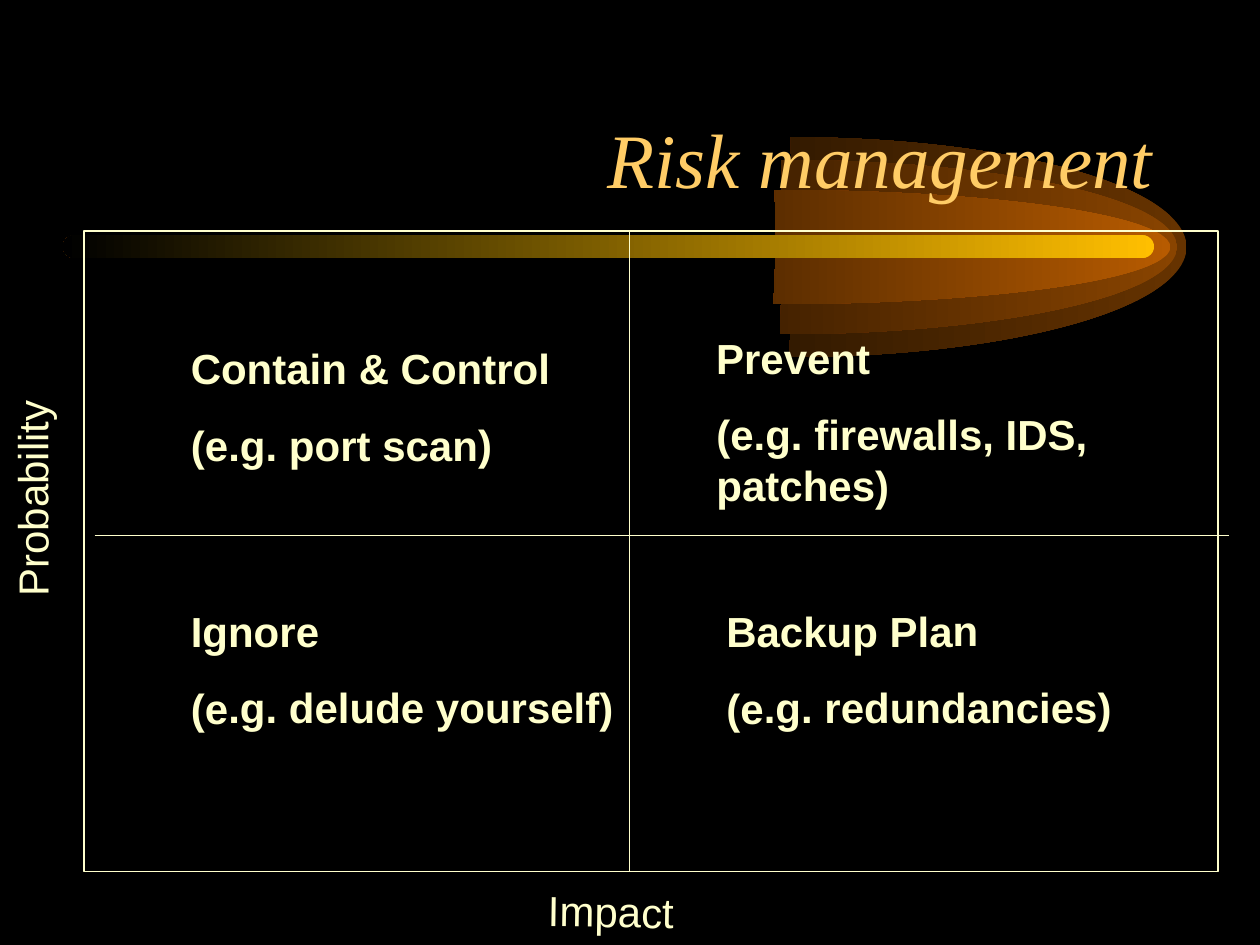
from lxml import etree
from pptx import Presentation
from pptx.dml.color import RGBColor
from pptx.enum.shapes import MSO_CONNECTOR, MSO_SHAPE
from pptx.enum.text import MSO_ANCHOR, MSO_AUTO_SIZE, PP_ALIGN
from pptx.oxml.ns import qn
from pptx.util import Pt

STRAIGHT = MSO_CONNECTOR.STRAIGHT
RECTANGLE, ROUNDED = MSO_SHAPE.RECTANGLE, MSO_SHAPE.ROUNDED_RECTANGLE
BOTTOM, TOP = MSO_ANCHOR.BOTTOM, MSO_ANCHOR.TOP
FIT_SHAPE, NO_FIT = MSO_AUTO_SIZE.SHAPE_TO_FIT_TEXT, MSO_AUTO_SIZE.NONE
RIGHT = PP_ALIGN.RIGHT

THEME = {
    "background": "000000",
    "title": {"font": "Times New Roman", "size": 44, "color": "FFCC66"},
    "label": {"font": "Arial", "size": 24, "color": "FFFFCC"},
    "line": "FFFFCC",
    "line_width": 0.75,
    "paragraph_gap": 15,
    "flames": ("663300", "894400", "B75B00"),
    "beam": "FFBF00",
}

TITLE = "Risk management"
LABELS = [
    (["Probability"], -111, 201, 36, 269.9, False),
    (["Impact"], 306, 504, 36, 0.9, False),
    (["Ignore", "(e.g. delude yourself)"], 102, 342, 80, 359.83, True),
    (["Prevent", "(e.g. firewalls, IDS, patches)"], 402.2, 186, 109, 359.83, True),
    (["Backup Plan", "(e.g. redundancies)"], 408, 342, 80, 359.83, True),
    (["Contain & Control", "(e.g. port scan)"], 102, 192, 80, 359.83, True),
]
LABEL_WIDTH = 258
DIVIDERS = [(359.7, 132, 359.7, 498), (54, 306, 702, 306)]
MATRIX = (48, 132, 648, 366)

FLAME_BOXES = [
    (227.2, 78.4, 450.8, 125.6),
    (221.8, 91.4, 450.8, 99.6),
    (218, 108.6, 450.8, 65.2),
]
FLAME_GRID = 2000
FLAME_ARC = [
    ("moveTo", [(997, 0)]),
    ("cubicBezTo", [(1355, 0), (1687, 191), (1866, 500)]),
    ("cubicBezTo", [(2045, 809), (2045, 1191), (1866, 1500)]),
    ("cubicBezTo", [(1687, 1809), (1353, 2000), (994, 2000)]),
]
FLAME_WEDGE = FLAME_ARC + [("lnTo", [(1000, 1000)]), ("close", [])]
BEAM = (36, 134.4, 623.5, 13)


def color(code):
    return RGBColor.from_string(code)


def fade(shape, bright):
    shape.shadow.inherit = False
    shape.fill.gradient()
    shape.fill.gradient_angle = 180
    for stop, code in zip(shape.fill.gradient_stops, (bright, THEME["background"])):
        stop.color.rgb = color(code)
    shape.line.fill.background()


def outline(shape):
    shape.line.color.rgb = color(THEME["line"])
    shape.line.width = Pt(THEME["line_width"])


def style(para, role, bold=False, italic=False):
    for span in para.runs:
        span.font.name = role["font"]
        span.font.size = Pt(role["size"])
        span.font.color.rgb = color(role["color"])
        span.font.bold = bold
        span.font.italic = italic


def add_curve(parent, commands, **options):
    size = str(FLAME_GRID)
    curve = etree.SubElement(parent, qn("a:path"), w=size, h=size, **options)
    for name, points in commands:
        command = etree.SubElement(curve, qn("a:" + name))
        for x, y in points:
            etree.SubElement(command, qn("a:pt"), x=str(x), y=str(y))


def add_flame(comet, bounds, bright):
    left, top, width, height = map(Pt, bounds)
    right, bottom = left + width, top + height
    builder = comet.shapes.build_freeform(left, top)
    builder.add_line_segments([(right, top), (right, bottom), (left, bottom)])
    flame = builder.convert_to_shape()
    outlines = flame.element.find(".//" + qn("a:pathLst"))
    outlines.remove(outlines[0])
    add_curve(outlines, FLAME_WEDGE)
    add_curve(outlines, FLAME_ARC, fill="none")
    fade(flame, bright)


def add_comet(deck, page):
    comet = page.shapes.add_group_shape()
    for bounds, bright in zip(FLAME_BOXES, THEME["flames"]):
        add_flame(comet, bounds, bright)
    beam = comet.shapes.add_shape(ROUNDED, *map(Pt, BEAM))
    beam.adjustments[0] = 0.5
    fade(beam, THEME["beam"])
    deck.slide_master.element.find(".//" + qn("p:spTree")).append(comet.element)


def add_title(page):
    title = page.shapes.title
    title.left, title.top, title.width, title.height = map(Pt, (54, 30, 612, 90))
    frame = title.text_frame
    frame.text = TITLE
    frame.auto_size = NO_FIT
    frame.vertical_anchor = BOTTOM
    para = frame.paragraphs[0]
    para.alignment = RIGHT
    style(para, THEME["title"], italic=True)


def add_matrix(page):
    box = page.shapes.add_shape(RECTANGLE, *map(Pt, MATRIX))
    box.shadow.inherit = False
    box.fill.background()
    outline(box)
    for ends in DIVIDERS:
        divider = page.shapes.add_connector(STRAIGHT, *map(Pt, ends))
        outline(divider)
        etree.SubElement(divider.element.spPr, qn("a:effectLst"))


def add_label(page, lines, left, top, height, rotation, bold):
    box = page.shapes.add_textbox(Pt(left), Pt(top), Pt(LABEL_WIDTH), Pt(height))
    box.rotation = rotation
    frame = box.text_frame
    frame.word_wrap = True
    frame.auto_size = FIT_SHAPE
    frame.vertical_anchor = TOP
    frame.text = "\n".join(lines)
    for index, para in enumerate(frame.paragraphs):
        para.space_before = Pt(THEME["paragraph_gap"] if index else 0)
        style(para, THEME["label"], bold=bold)


def main():
    deck = Presentation()
    deck.slide_width, deck.slide_height = Pt(720), Pt(540)
    page = deck.slides.add_slide(deck.slide_layouts[5])
    page.background.fill.solid()
    page.background.fill.fore_color.rgb = color(THEME["background"])
    add_comet(deck, page)
    add_title(page)
    add_matrix(page)
    for label in LABELS:
        add_label(page, *label)
    deck.save("out.pptx")


if __name__ == "__main__":
    main()
